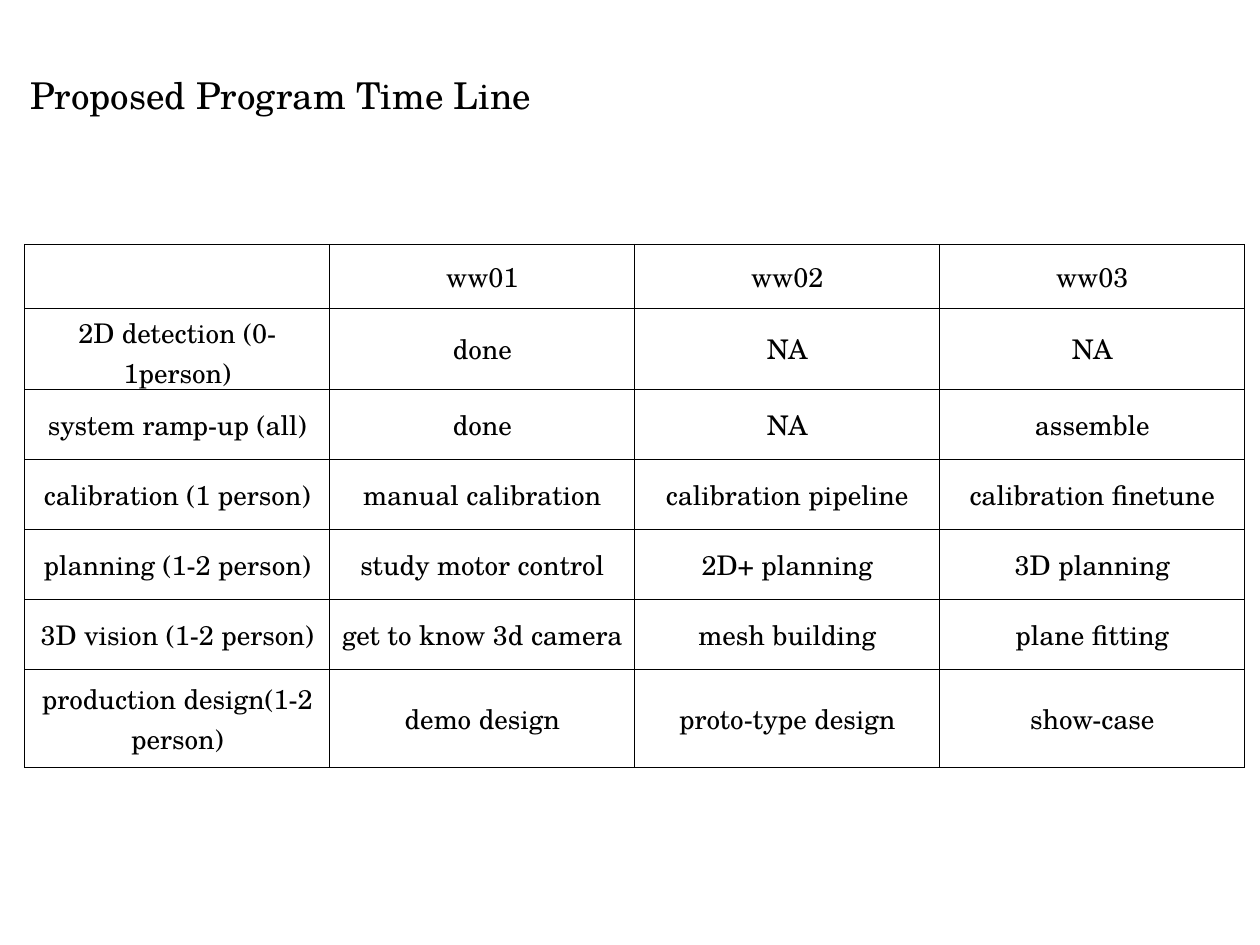
from pptx import Presentation
from pptx import util as u
from pptx.dml.color import RGBColor
from pptx.enum import text
from pptx.oxml import parse_xml
from pptx.oxml.ns import nsdecls

COLORS = {"ink": "000000", "line": "000000"}
FONT = "TeX Gyre Schola"
HEIGHTS = [0.72, 0.92, 0.79, 0.79, 0.79, 0.79, 1.11]
ROWS = [
    ["", "ww01", "ww02", "ww03"],
    ["2D detection (0-1person)", "done", "NA", "NA"],
    ["system ramp-up (all)", "done", "NA", "assemble"],
    ["calibration (1 person)", "manual calibration",
     "calibration pipeline", "calibration finetune"],
    ["planning (1-2 person)", "study motor control",
     "2D+ planning", "3D planning"],
    ["3D vision (1-2 person)", "get to know 3d camera",
     "mesh building", "plane fitting"],
    ["production design(1-2 person)", "demo design",
     "proto-type design", "show-case"],
]


def style(para, size):
    font = para.font
    font.name = FONT
    font.size = u.Pt(size)
    font.bold = False
    font.color.rgb = RGBColor.from_string(COLORS["ink"])


def add_title(slide, words):
    box = slide.shapes.add_textbox(
        u.Inches(0.28), u.Inches(0.57), u.Inches(5.91), u.Inches(1.6))
    frame = box.text_frame
    frame.word_wrap = False
    frame.vertical_anchor = text.MSO_ANCHOR.TOP
    frame.margin_left = frame.margin_right = u.Inches(0.06)
    frame.margin_top = frame.margin_bottom = u.Inches(0.06)
    para = frame.paragraphs[0]
    para.text = words
    para.line_spacing = u.Pt(50)
    style(para, 30)


def add_borders(cell):
    props = cell._tc.get_or_add_tcPr()
    for index, side in enumerate(("lnL", "lnR", "lnT", "lnB")):
        props.insert(index, parse_xml(
            f'<a:{side} {nsdecls("a")} w="12700"><a:solidFill>'
            f'<a:srgbClr val="{COLORS["line"]}"/></a:solidFill></a:{side}>'))


def fill_cell(cell, words):
    cell.fill.background()
    cell.vertical_anchor = text.MSO_ANCHOR.MIDDLE
    para = cell.text_frame.paragraphs[0]
    para.text = words
    para.alignment = text.PP_ALIGN.CENTER
    style(para, 22)
    add_borders(cell)


def add_plan(slide):
    frame = slide.shapes.add_table(
        len(ROWS), len(ROWS[0]), u.Inches(0.28), u.Inches(2.76),
        u.Inches(13.77), u.Inches(sum(HEIGHTS)))
    table = frame.table
    table.first_row = table.horz_banding = False
    for row, height in zip(table.rows, HEIGHTS):
        row.height = u.Inches(height)
    for r, words in enumerate(ROWS):
        for c, word in enumerate(words):
            fill_cell(table.cell(r, c), word)


def main():
    deck = Presentation()
    deck.slide_width = u.Inches(14.22)
    deck.slide_height = u.Inches(10.67)
    slide = deck.slides.add_slide(deck.slide_layouts[6])
    add_title(slide, "Proposed Program Time Line")
    add_plan(slide)
    deck.save("out.pptx")


if __name__ == "__main__":
    main()
